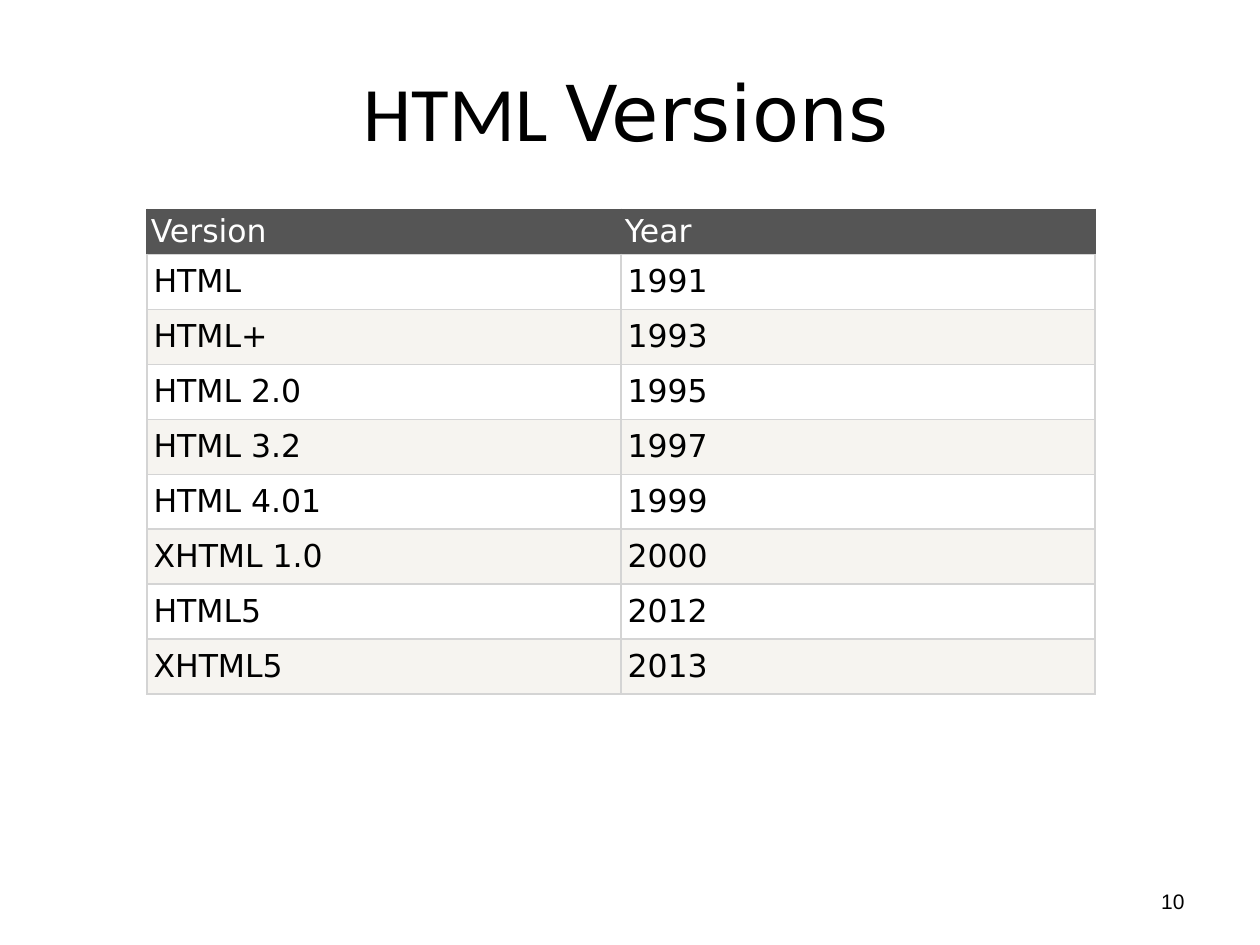
from dataclasses import dataclass

from lxml import etree
from pptx import Presentation
from pptx.dml.color import RGBColor
from pptx.enum.text import MSO_ANCHOR, PP_ALIGN
from pptx.oxml.ns import qn
from pptx.util import Pt

MIDDLE, TOP = MSO_ANCHOR.MIDDLE, MSO_ANCHOR.TOP
LEFT, CENTER, RIGHT = PP_ALIGN.LEFT, PP_ALIGN.CENTER, PP_ALIGN.RIGHT
TITLE_ONLY = 5

# Content
TITLE_RUNS = [("HTML ", "Calibri"), ("Versions", "DejaVu Sans")]
HEADINGS = ("Version", "Year")
VERSIONS = [
    ("HTML", "1991"),
    ("HTML+", "1993"),
    ("HTML 2.0", "1995"),
    ("HTML 3.2", "1997"),
    ("HTML 4.01", "1999"),
    ("XHTML 1.0", "2000"),
    ("HTML5", "2012"),
    ("XHTML5", "2013"),
]
PAGE_NUMBER = "10"


@dataclass(frozen=True)
class Theme:
    text: str = "000000"
    header_text: str = "FFFFFF"
    header_fill: str = "555555"
    bands: tuple = ("FFFFFF", "F6F4F0")
    rule: str = "D4D4D4"
    rule_width: float = 0.75
    table_font: str = "DejaVu Sans"
    number_font: str = "Arial"
    title_size: float = 44
    table_size: float = 18
    number_size: float = 12


THEME = Theme()

# Layout, in points
SLIDE_SIZE = (720, 540)
TITLE_BOX = (33.84, 18, 648, 90)
NUMBER_BOX = (516.24, 500.4, 167.76, 28.8)
TABLE_LEFT, TABLE_TOP, TABLE_WIDTH = 84, 119.6, 541.8
HEADER_HEIGHT, ROW_HEIGHT = 25.7, 31.43
HEADER_INSETS, ROW_INSETS = (2.25, 2.25), (3.75, 5.25)


def add_run(paragraph, text, font, size, color):
    run = paragraph.add_run()
    run.text = text
    run.font.name = font
    run.font.size = Pt(size)
    run.font.color.rgb = RGBColor.from_string(color)


def add_borders(cell, colors):
    properties = cell._tc.get_or_add_tcPr()
    for side, color in zip("LRTB", colors):
        line = etree.SubElement(properties, qn(f"a:ln{side}"), w=str(Pt(THEME.rule_width)))
        fill = etree.SubElement(line, qn("a:solidFill"))
        etree.SubElement(fill, qn("a:srgbClr"), val=color)


def fill_cell(cell, text, color, fill, insets, borders):
    add_borders(cell, borders)
    cell.fill.solid()
    cell.fill.fore_color.rgb = RGBColor.from_string(fill)
    cell.margin_left = cell.margin_right = Pt(insets[0])
    cell.margin_top = cell.margin_bottom = Pt(insets[1])
    cell.vertical_anchor = TOP
    paragraph = cell.text_frame.paragraphs[0]
    paragraph.alignment = LEFT
    add_run(paragraph, text, THEME.table_font, THEME.table_size, color)


presentation = Presentation()
presentation.slide_width, presentation.slide_height = map(Pt, SLIDE_SIZE)
slide = presentation.slides.add_slide(presentation.slide_layouts[TITLE_ONLY])

# Title
title = slide.shapes.title
title.left, title.top, title.width, title.height = map(Pt, TITLE_BOX)
title.text_frame.vertical_anchor = MIDDLE
heading = title.text_frame.paragraphs[0]
heading.alignment = CENTER
for text, font in TITLE_RUNS:
    add_run(heading, text, font, THEME.title_size, THEME.text)

# Version table
table_height = HEADER_HEIGHT + ROW_HEIGHT * len(VERSIONS)
versions = slide.shapes.add_table(
    len(VERSIONS) + 1, len(HEADINGS),
    Pt(TABLE_LEFT), Pt(TABLE_TOP), Pt(TABLE_WIDTH), Pt(table_height),
).table
versions.first_row = versions.horz_banding = False
for column in versions.columns:
    column.width = Pt(TABLE_WIDTH / len(HEADINGS))

versions.rows[0].height = Pt(HEADER_HEIGHT)
header_borders = [THEME.header_fill] * 3 + [THEME.rule]
for cell, text in zip(versions.rows[0].cells, HEADINGS):
    fill_cell(cell, text, THEME.header_text, THEME.header_fill, HEADER_INSETS, header_borders)

for index, entry in enumerate(VERSIONS):
    row = versions.rows[index + 1]
    row.height = Pt(ROW_HEIGHT)
    band = THEME.bands[index % len(THEME.bands)]
    for cell, text in zip(row.cells, entry):
        fill_cell(cell, text, THEME.text, band, ROW_INSETS, [THEME.rule] * 4)

# Page number
number_frame = slide.shapes.add_textbox(*map(Pt, NUMBER_BOX)).text_frame
number_frame.word_wrap = True
number_frame.vertical_anchor = MIDDLE
number_line = number_frame.paragraphs[0]
number_line.alignment = RIGHT
add_run(number_line, PAGE_NUMBER, THEME.number_font, THEME.number_size, THEME.text)

presentation.save("out.pptx")
